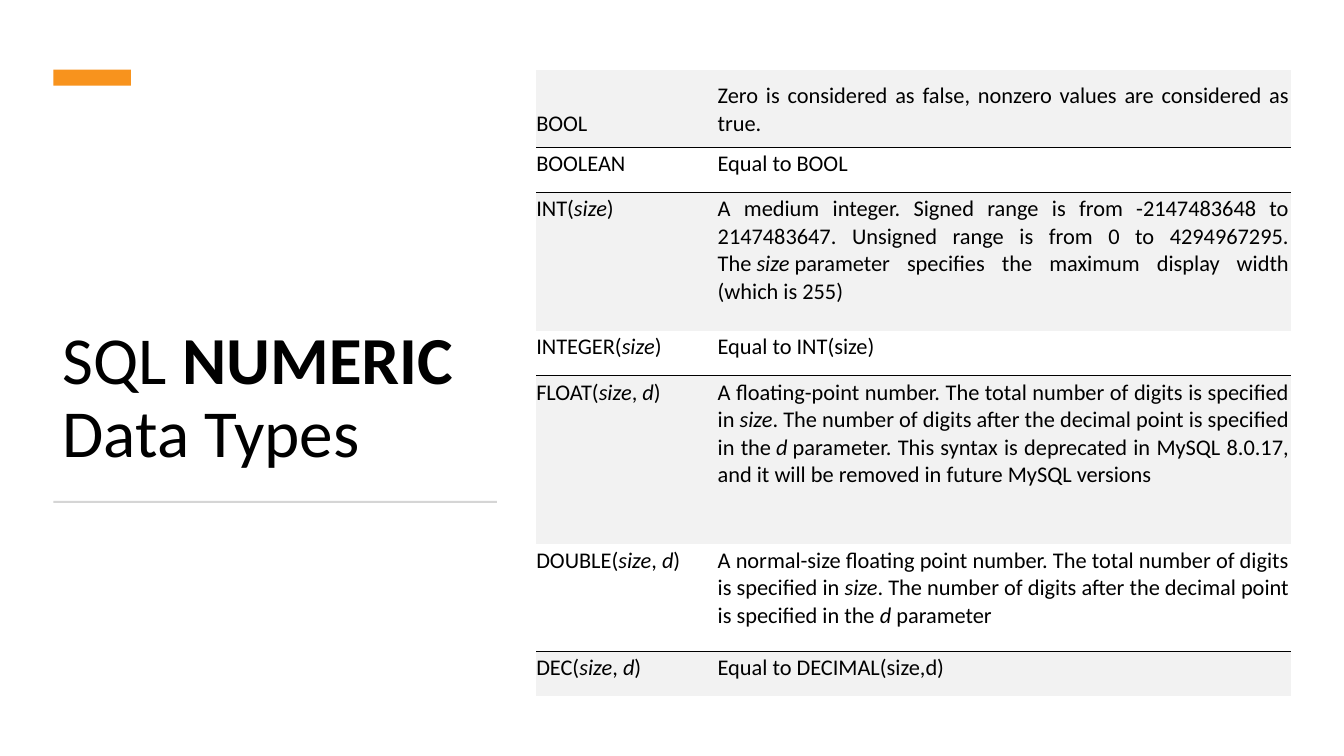
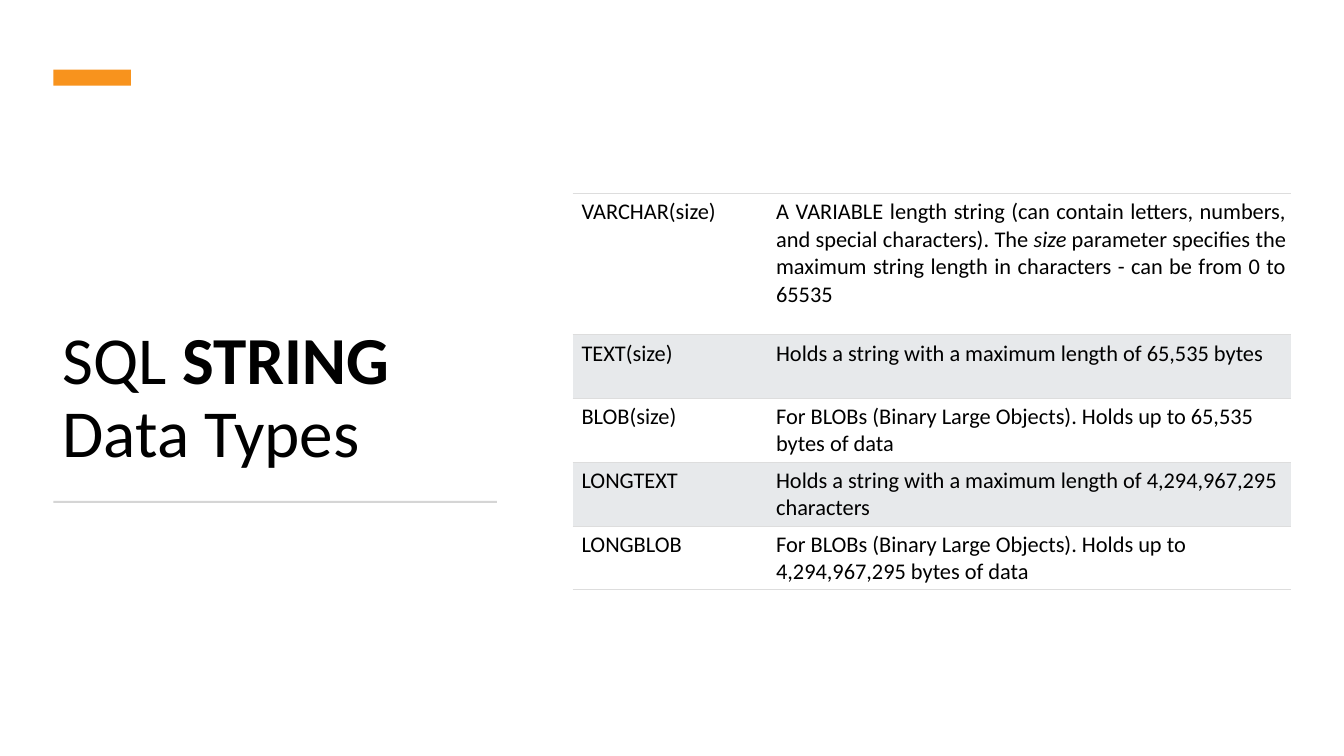
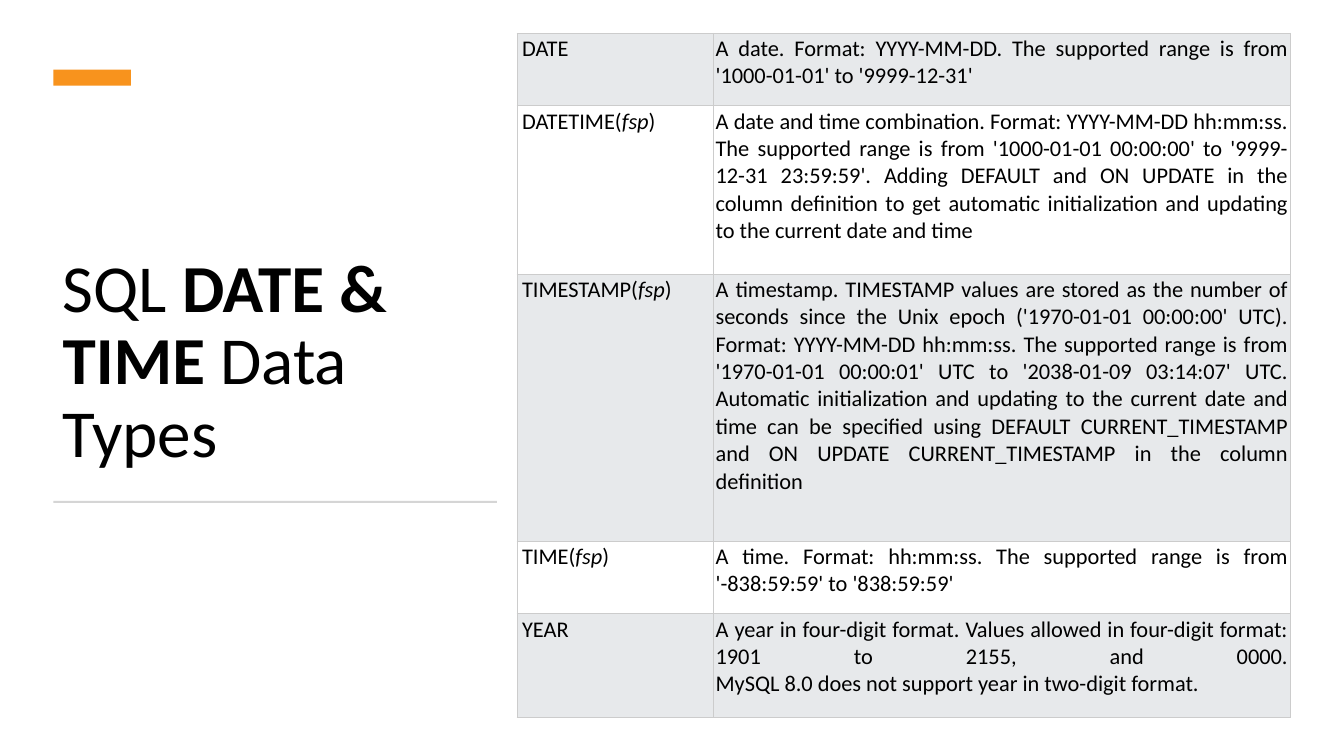
from dataclasses import dataclass

from lxml.etree import SubElement
from pptx import Presentation
from pptx.dml.color import RGBColor
from pptx.enum.shapes import MSO_SHAPE as Shape
from pptx.enum.text import MSO_ANCHOR as Anchor, MSO_AUTO_SIZE as AutoSize, PP_ALIGN as Align
from pptx.oxml.ns import qn
from pptx.util import Inches, Pt

FONT = "Calibri"
BLACK, WHITE, ORANGE, RULE = "000000", "FFFFFF", "F8931D", "D5D5D5"
PALE, GREY = "F2F2F2", "E7E9EB"
NO_STYLE = "{2D5ABB26-0587-4C30-8999-92F81FD0307C}"
FIXED_SPACE = chr(160)


@dataclass(frozen=True)
class Row:
    height: float
    name: str
    meaning: str
    justified: bool = True
    anchor: Anchor = Anchor.TOP


@dataclass(frozen=True)
class TypeTable:
    title: str
    left: float
    top: float
    columns: tuple[float, float]
    fills: tuple[str, str]
    insets: tuple[float, float, float]
    name_inset: float
    line_color: str
    line_width: float
    sides: tuple[str, ...]
    rows: tuple[Row, ...]


NUMERIC = TypeTable(
    "SQL *NUMERIC* Data Types", 5.32, 0.69, (1.8, 5.69), (PALE, WHITE),
    (0, 0.03, 0.1), 0, BLACK, 0.75, ("B", "TB", "T", "B", "T", "B", "T"),
    (
        Row(0.77, "BOOL", "Zero is considered as false, nonzero values are considered as true.",
            anchor=Anchor.BOTTOM),
        Row(0.45, "BOOLEAN", "Equal to BOOL"),
        Row(1.37, "INT(*size*)",
            "A medium integer. Signed range is from -2147483648 to 2147483647. "
            "Unsigned range is from 0 to 4294967295. The~*size*~parameter specifies "
            "the maximum display width (which is 255)"),
        Row(0.45, "INTEGER(*size*)", "Equal to INT(size)"),
        Row(1.67, "FLOAT(*size*,~*d*)",
            "A floating-point number. The total number of digits is specified in~*size*. "
            "The number of digits after the decimal point is specified in the~*d*~parameter. "
            "This syntax is deprecated in MySQL 8.0.17, and it will be removed in future "
            "MySQL versions"),
        Row(1.06, "DOUBLE(*size*,~*d*)",
            "A normal-size floating point number. The total number of digits is specified "
            "in~*size*. The number of digits after the decimal point is specified in "
            "the~*d*~parameter"),
        Row(0.45, "DEC(*size*,~*d*)", "Equal to DECIMAL(size,d)"),
    ),
)

STRING = TypeTable(
    "SQL *STRING* Data Types", 5.68, 1.92, (1.97, 5.16), (WHITE, GREY),
    (0.05, 0.05, 0.04), 0.09, "DDDDDD", 0.6, ("TB",) * 5,
    (
        Row(1.4, "VARCHAR(size)",
            "A VARIABLE length string (can contain letters, numbers, and special characters). "
            "The~*size*~parameter specifies the maximum string length in characters - "
            "can be from 0 to 65535"),
        Row(0.63, "TEXT(size)", "Holds a string with a maximum length of 65,535 bytes", False),
        Row(0.63, "BLOB(size)",
            "For BLOBs (Binary Large Objects). Holds up to 65,535 bytes of data", False),
        Row(0.63, "LONGTEXT",
            "Holds a string with a maximum length of 4,294,967,295 characters", False),
        Row(0.63, "LONGBLOB",
            "For BLOBs (Binary Large Objects). Holds up to 4,294,967,295 bytes of data", False),
    ),
)

DATE_TIME = TypeTable(
    "SQL *DATE & TIME* Data Types", 5.13, 0.33, (1.95, 5.72), (GREY, WHITE),
    (0.02, 0.02, 0.02), 0.05, "CCCCCC", 0.6, ("LRTB",) * 5,
    (
        Row(0.72, "DATE",
            "A date. Format: YYYY-MM-DD. The supported range is from "
            "'1000-01-01' to '9999-12-31'"),
        Row(1.67, "DATETIME(*fsp*)",
            "A date and time combination. Format: YYYY-MM-DD hh:mm:ss. The supported range is "
            "from '1000-01-01 00:00:00' to '9999-12-31 23:59:59'. Adding DEFAULT and ON UPDATE "
            "in the column definition to get automatic initialization and updating to the "
            "current date and time"),
        Row(2.65, "TIMESTAMP(*fsp*)",
            "A timestamp. TIMESTAMP values are stored as the number of seconds since the Unix "
            "epoch ('1970-01-01 00:00:00' UTC). Format: YYYY-MM-DD hh:mm:ss. The supported "
            "range is from '1970-01-01 00:00:01' UTC to '2038-01-09 03:14:07' UTC. Automatic "
            "initialization and updating to the current date and time can be specified using "
            "DEFAULT CURRENT_TIMESTAMP and ON UPDATE CURRENT_TIMESTAMP in the column "
            "definition"),
        Row(0.72, "TIME(*fsp*)",
            "A time. Format: hh:mm:ss. The supported range is from '-838:59:59' to '838:59:59'"),
        Row(1.03, "YEAR",
            "A year in four-digit format. Values allowed in four-digit format: 1901 to 2155, "
            "and 0000.\nMySQL 8.0 does not support year in two-digit format."),
    ),
)


def paint(fill, color: str) -> None:
    """Give a fill one solid colour."""
    fill.solid()
    fill.fore_color.rgb = RGBColor.from_string(color)


def write_text(para, text: str, *, size: float, align: Align = Align.LEFT,
               emphasis: str = "italic", color: str = BLACK) -> None:
    """Write text, with asterisks around emphasis and tildes for fixed spaces."""
    para.alignment = align
    for index, part in enumerate(text.replace("~", FIXED_SPACE).split("*")):
        for line_index, line in enumerate(part.split("\n")):
            if line_index:
                para.add_line_break()
            if not line:
                continue
            span = para.add_run()
            span.text = line
            span.font.name, span.font.size = FONT, Pt(size)
            span.font.color.rgb = RGBColor.from_string(color)
            setattr(span.font, emphasis, index % 2 == 1)


def draw_bar(page, left: float, top: float, width: float, height: float, color: str) -> None:
    """Draw a plain filled bar."""
    bar = page.shapes.add_shape(
        Shape.RECTANGLE, Inches(left), Inches(top), Inches(width), Inches(height))
    bar.shadow.inherit = False
    bar.line.fill.background()
    paint(bar.fill, color)


def draw_frame(page, title: str) -> None:
    """Set the title and the two bars that all pages share."""
    box = page.shapes.title
    box.left, box.top, box.width, box.height = map(Inches, (0.52, 1.23, 4.4, 3.5))
    frame = box.text_frame
    frame.word_wrap = True
    frame.auto_size = AutoSize.NONE
    frame.vertical_anchor = Anchor.BOTTOM
    para = frame.paragraphs[0]
    write_text(para, title, size=48, emphasis="bold")
    para.line_spacing = 0.9
    draw_bar(page, 0.53, 0.69, 0.77, 0.16, ORANGE)
    draw_bar(page, 0.53, 4.97, 4.4, 0.02, RULE)


def set_borders(cell, sides: str, color: str, width: float) -> None:
    """Draw the named sides of a cell and clear the others."""
    properties = cell._tc.get_or_add_tcPr()
    for side in "LRTB":
        line = SubElement(properties, qn(f"a:ln{side}"), w=str(Pt(width)))
        if side in sides:
            solid = SubElement(line, qn("a:solidFill"))
            SubElement(solid, qn("a:srgbClr"), val=color)
        else:
            SubElement(line, qn("a:noFill"))


def draw_table(page, spec: TypeTable) -> None:
    """Draw the table of data types."""
    table = page.shapes.add_table(
        len(spec.rows), len(spec.columns), Inches(spec.left), Inches(spec.top),
        Inches(sum(spec.columns)), Inches(sum(row.height for row in spec.rows))).table
    table.first_row = table.horz_banding = False
    table._tbl.tblPr.find(qn("a:tableStyleId")).text = NO_STYLE
    for column, width in zip(table.columns, spec.columns):
        column.width = Inches(width)
    left, top, bottom = spec.insets
    for index, row in enumerate(spec.rows):
        table.rows[index].height = Inches(row.height)
        align = Align.JUSTIFY if row.justified else Align.LEFT
        for column, (text, inset) in enumerate(
                ((row.name, spec.name_inset), (row.meaning, left))):
            cell = table.cell(index, column)
            set_borders(cell, spec.sides[index], spec.line_color, spec.line_width)
            paint(cell.fill, spec.fills[index % 2])
            cell.margin_left, cell.margin_top = Inches(inset), Inches(top)
            cell.margin_right, cell.margin_bottom = Inches(max(left, 0.02)), Inches(bottom)
            cell.vertical_anchor = row.anchor
            write_text(cell.text_frame.paragraphs[0], text, size=16, align=align)


def main() -> None:
    """Build and save the deck."""
    deck = Presentation()
    deck.slide_width, deck.slide_height = Inches(40 / 3), Inches(7.5)
    for spec in (NUMERIC, STRING, DATE_TIME):
        page = deck.slides.add_slide(deck.slide_layouts[5])
        draw_frame(page, spec.title)
        draw_table(page, spec)
    deck.save("out.pptx")


if __name__ == "__main__":
    main()
